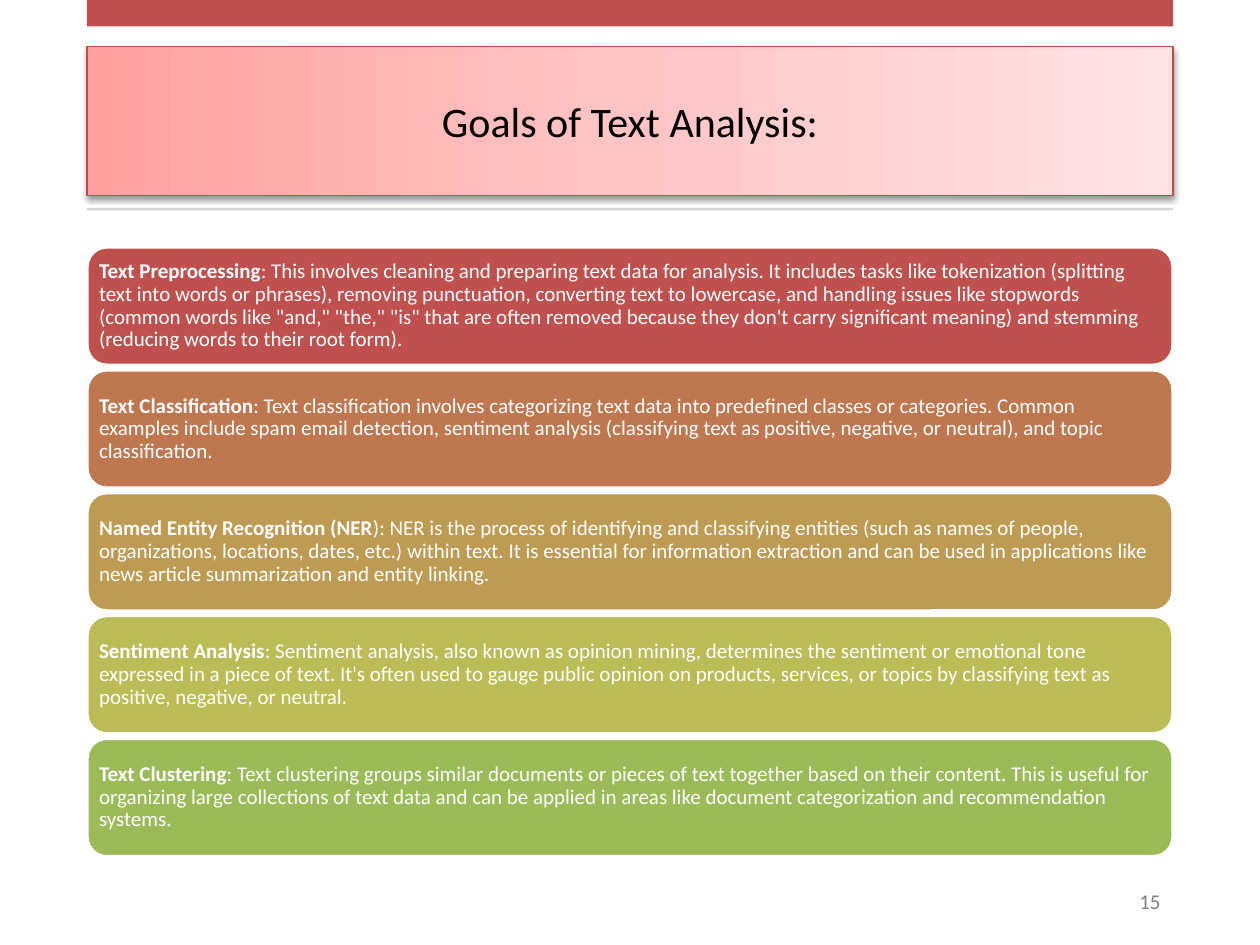
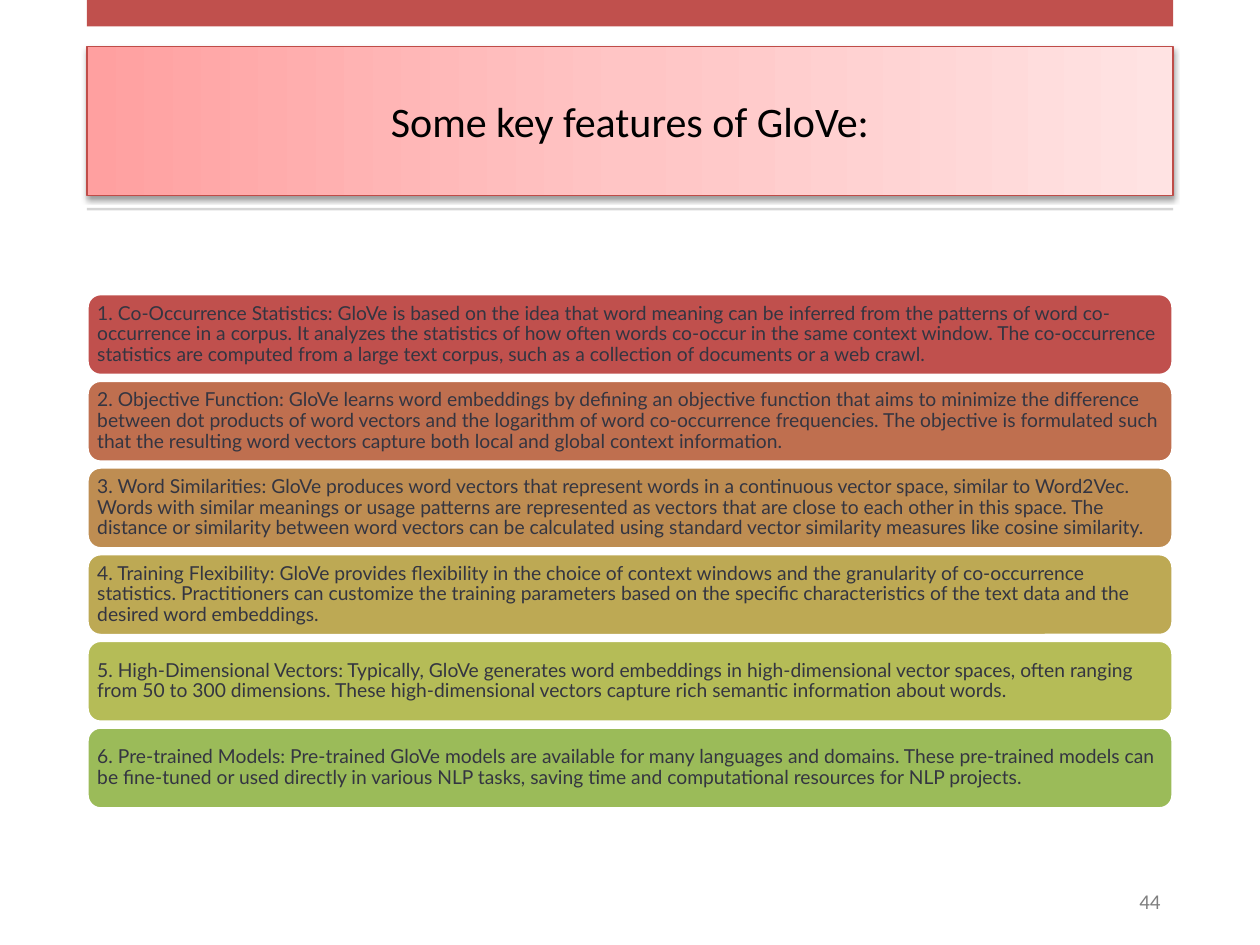
from colorsys import hls_to_rgb, rgb_to_hls
from copy import deepcopy
from dataclasses import dataclass

from lxml.etree import SubElement
from pptx import Presentation
from pptx.dml.color import RGBColor
from pptx.enum.shapes import MSO_SHAPE
from pptx.enum.text import MSO_ANCHOR, PP_ALIGN
from pptx.oxml.ns import qn
from pptx.util import Inches, Pt


@dataclass(frozen=True)
class Theme:
    accent: str = "C0504D"
    card_end: str = "9BBB59"
    title_stops: tuple = ("FFA0A0", "FFC5C5", "FFE3E3")
    title_line: str = "BF4C48"
    rule: str = "D5D5D5"
    white: str = "FFFFFF"
    black: str = "000000"
    dark: str = "343541"
    grey: str = "808080"
    font: str = "Calibri"
    feature_font: str = "Lato"
    title_size: int = 24
    goal_size: int = 12
    feature_size: int = 11
    number_size: int = 12
    left: float = 0.69
    width: float = 8.62


GOALS = [
    ("Text Preprocessing",
     ": This involves cleaning and preparing text data for analysis. It includes tasks like "
     "tokenization (splitting text into words or phrases), removing punctuation, converting text "
     "to lowercase, and handling issues like stopwords (common words like \"and,\" \"the,\" \"is\" "
     "that are often removed because they don't carry significant meaning) and stemming "
     "(reducing words to their root form)."),
    ("Text Classification",
     ": Text classification involves categorizing text data into predefined classes or "
     "categories. Common examples include spam email detection, sentiment analysis (classifying "
     "text as positive, negative, or neutral), and topic classification."),
    ("Named Entity Recognition (NER",
     "): NER is the process of identifying and classifying entities (such as names of people, "
     "organizations, locations, dates, etc.) within text. It is essential for information "
     "extraction and can be used in applications like news article summarization and entity "
     "linking."),
    ("Sentiment Analysis",
     ": Sentiment analysis, also known as opinion mining, determines the sentiment or emotional "
     "tone expressed in a piece of text. It's often used to gauge public opinion on products, "
     "services, or topics by classifying text as positive, negative, or neutral."),
    ("Text Clustering",
     ": Text clustering groups similar documents or pieces of text together based on their "
     "content. This is useful for organizing large collections of text data and can be applied "
     "in areas like document categorization and recommendation systems."),
]

FEATURES = [
    "1. Co-Occurrence Statistics: GloVe is based on the idea that word meaning can be inferred "
    "from the patterns of word co-occurrence in a corpus. It analyzes the statistics of how often "
    "words co-occur in the same context window. The co-occurrence statistics are computed from a "
    "large text corpus, such as a collection of documents or a web crawl.",
    "2. Objective Function: GloVe learns word embeddings by defining an objective function that "
    "aims to minimize the difference between dot products of word vectors and the logarithm of "
    "word co-occurrence frequencies. The objective is formulated such that the resulting word "
    "vectors capture both local and global context information.",
    "3. Word Similarities: GloVe produces word vectors that represent words in a continuous "
    "vector space, similar to Word2Vec. Words with similar meanings or usage patterns are "
    "represented as vectors that are close to each other in this space. The distance or "
    "similarity between word vectors can be calculated using standard vector similarity measures "
    "like cosine similarity.",
    "4. Training Flexibility: GloVe provides flexibility in the choice of context windows and the "
    "granularity of co-occurrence statistics. Practitioners can customize the training parameters "
    "based on the specific characteristics of the text data and the desired word embeddings.",
    "5. High-Dimensional Vectors: Typically, GloVe generates word embeddings in high-dimensional "
    "vector spaces, often ranging from 50 to 300 dimensions. These high-dimensional vectors "
    "capture rich semantic information about words.",
    "6. Pre-trained Models: Pre-trained GloVe models are available for many languages and "
    "domains. These pre-trained models can be fine-tuned or used directly in various NLP tasks, "
    "saving time and computational resources for NLP projects.",
]


def blend(start, end, share):
    """Return the colour part of the way between two others, by hue, lightness and saturation."""
    first, last = (rgb_to_hls(*(value / 255 for value in RGBColor.from_string(colour)))
                   for colour in (start, end))
    mixed = (a + (b - a) * share for a, b in zip(first, last))
    return "".join(f"{round(value * 255):02X}" for value in hls_to_rgb(*mixed))


class DeckBuilder:
    def __init__(self, presentation, theme):
        self.presentation = presentation
        self.theme = theme
        self.slide = None

    def start_slide(self, title, number):
        title_only = self.presentation.slide_layouts[5]
        self.slide = self.presentation.slides.add_slide(title_only)
        self.add_title(title)
        self.add_block(MSO_SHAPE.RECTANGLE, 0, 0.21, self.theme.accent)
        self.add_block(MSO_SHAPE.RECTANGLE, 1.65, 0.02, self.theme.rule)
        self.add_number(number)

    def style(self, paragraph, size, colour, font=None):
        paragraph.font.name = font or self.theme.font
        paragraph.font.size = Pt(size)
        paragraph.font.color.rgb = RGBColor.from_string(colour)

    def add_title(self, text):
        title = self.slide.shapes.title
        title.left, title.top = Inches(self.theme.left), Inches(0.37)
        title.width, title.height = Inches(self.theme.width), Inches(1.18)
        title.line.color.rgb = RGBColor.from_string(self.theme.title_line)
        title.line.width = Pt(0.75)

        # Three-stop gradient from left to right
        title.fill.gradient()
        title.fill.gradient_angle = 0
        stop_list = title.element.spPr.find(f".//{qn('a:gsLst')}")
        stop_list.append(deepcopy(stop_list[-1]))
        for index, stop in enumerate(title.fill.gradient_stops):
            stop.position = index / 2
            stop.color.rgb = RGBColor.from_string(self.theme.title_stops[index])

        # Soft shadow below the title
        title.shadow.inherit = False
        effects = title.element.spPr.find(qn("a:effectLst"))
        shadow = SubElement(effects, qn("a:outerShdw"), blurRad=str(Pt(3.1)),
                            dist=str(Pt(1.6)), dir="5400000", rotWithShape="0")
        colour = SubElement(shadow, qn("a:srgbClr"), val=self.theme.black)
        SubElement(colour, qn("a:alpha"), val="38000")

        frame = title.text_frame
        frame.text = text
        frame.vertical_anchor = MSO_ANCHOR.MIDDLE
        frame.paragraphs[0].alignment = PP_ALIGN.CENTER
        self.style(frame.paragraphs[0], self.theme.title_size, self.theme.black)

    def add_block(self, kind, top, height, colour):
        shape = self.slide.shapes.add_shape(
            kind, Inches(self.theme.left), Inches(top), Inches(self.theme.width), Inches(height))
        shape.shadow.inherit = False
        shape.fill.solid()
        shape.fill.fore_color.rgb = RGBColor.from_string(colour)
        shape.line.fill.background()
        return shape

    def add_number(self, number):
        box = self.slide.shapes.add_textbox(Inches(7.15), Inches(6.95), Inches(2.16), Inches(0.4))
        frame = box.text_frame
        frame.word_wrap = True
        frame.vertical_anchor = MSO_ANCHOR.MIDDLE
        frame.text = str(number)
        frame.paragraphs[0].alignment = PP_ALIGN.RIGHT
        self.style(frame.paragraphs[0], self.theme.number_size, self.theme.grey)

    def add_card(self, top, height, fill, heading, text, size, colour, font):
        card = self.add_block(MSO_SHAPE.ROUNDED_RECTANGLE, top, height, fill)
        card.line.color.rgb = RGBColor.from_string(self.theme.white)
        card.line.width = Pt(2)
        frame = card.text_frame
        frame.word_wrap = True
        frame.vertical_anchor = MSO_ANCHOR.MIDDLE
        frame.margin_left = frame.margin_right = Inches(0.05)
        frame.margin_top = frame.margin_bottom = Inches(0.05)
        paragraph = frame.paragraphs[0]
        paragraph.alignment = PP_ALIGN.LEFT
        paragraph.line_spacing = 0.9
        self.style(paragraph, size, colour, font)
        if heading:
            run = paragraph.add_run()
            run.text = heading
            run.font.bold = True
        paragraph.add_run().text = text

    def add_cards(self, entries, first_top, last_top, height, size, colour, font):
        """Stack evenly spaced cards whose fills run from the accent to the end colour."""
        for index, (heading, text) in enumerate(entries):
            share = index / (len(entries) - 1)
            top = first_top + (last_top - first_top) * share
            fill = blend(self.theme.accent, self.theme.card_end, share)
            self.add_card(top, height, fill, heading, text, size, colour, font)


def main():
    presentation = Presentation()
    presentation.slide_width, presentation.slide_height = Inches(10), Inches(7.5)
    theme = Theme()
    deck = DeckBuilder(presentation, theme)

    # Goals of text analysis
    deck.start_slide("Goals of Text Analysis:", 15)
    deck.add_cards(GOALS, 1.96, 5.86, 0.94, theme.goal_size, theme.white, theme.font)

    # Features of GloVe
    deck.start_slide("Some key features of GloVe:", 44)
    deck.add_cards([("", text) for text in FEATURES], 2.33, 5.77, 0.65,
                   theme.feature_size, theme.dark, theme.feature_font)

    presentation.save("out.pptx")


if __name__ == "__main__":
    main()
